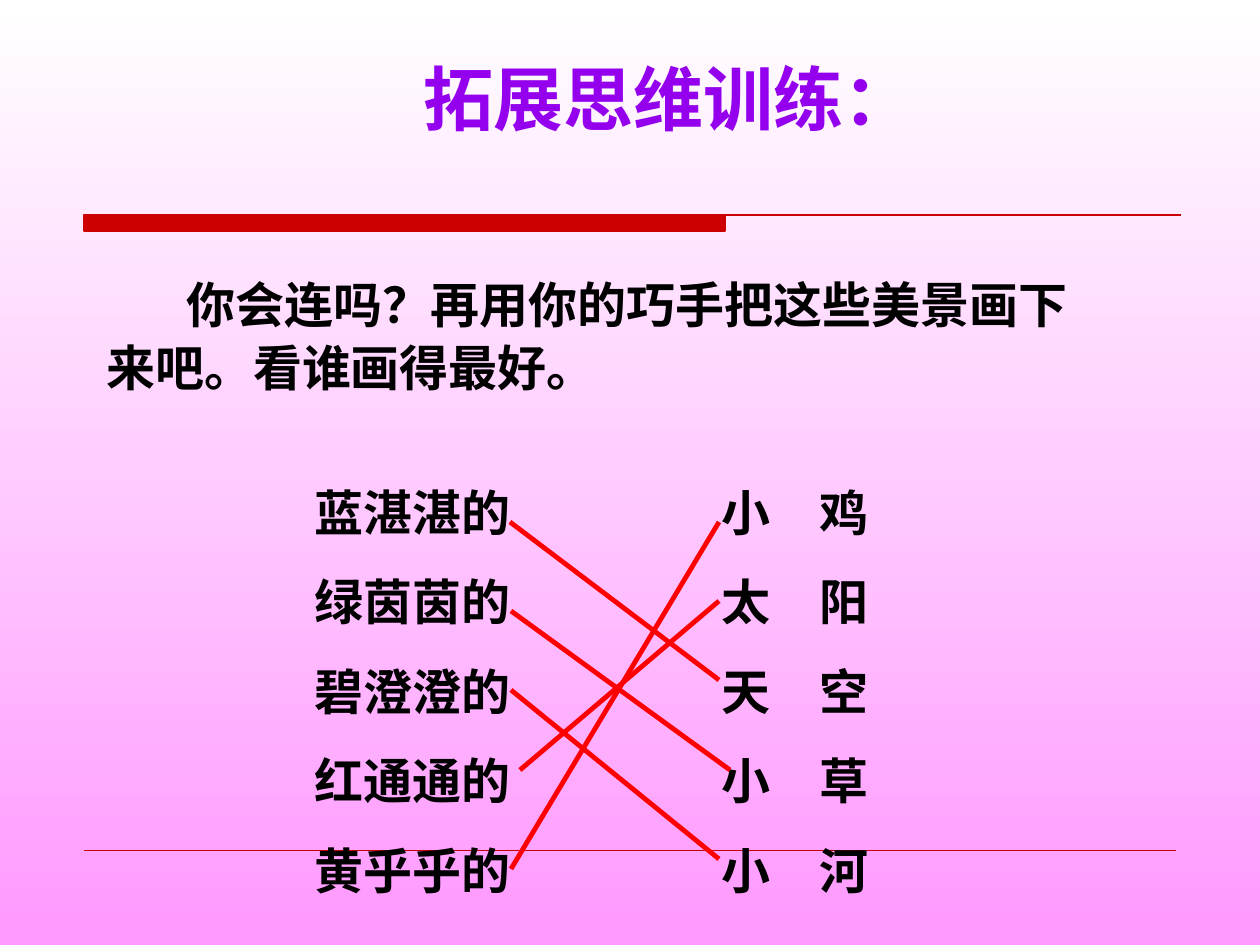
from typing import NamedTuple

from lxml.etree import SubElement
from pptx import Presentation
from pptx.dml.color import RGBColor
from pptx.enum.shapes import MSO_CONNECTOR
from pptx.enum.text import MSO_ANCHOR, PP_ALIGN
from pptx.oxml.ns import qn
from pptx.util import Emu, Pt

SCALE = 914400 / 126
CJK = "Noto Sans CJK JP"
RED, DARK = "FF0000", "CC0000"


class Box(NamedTuple):
    x: int
    y: int
    w: int
    h: int


class Block(NamedTuple):
    box: Box
    lines: list[str]
    top: int
    pitch: float
    indent: int = 0


class Link(NamedTuple):
    x1: int
    y1: int
    x2: int
    y2: int
    color: str = RED
    width: float = 2.75


BLOCKS = [
    Block(Box(94, 244, 1032, 156),
          ["你会连吗？再用你的巧手把这些美景画下来吧。看谁画得最好。"], 27, 35.7, 80),
    Block(Box(302, 472, 228, 430),
          ["蓝湛湛的", "绿茵茵的", "碧澄澄的", "红通通的", "黄乎乎的"], 10, 33.7),
    Block(Box(709, 472, 228, 430),
          ["小　鸡", "太　阳", "天　空", "小　草", "小　河"], 10, 33.7),
]
FOOT = Link(84, 850, 1176, 850, DARK, 0.25)
LINKS = [
    Link(510, 522, 719, 680),
    Link(511, 611, 730, 770),
    Link(511, 690, 719, 859),
    Link(520, 770, 719, 601),
    Link(511, 869, 719, 522),
]


def px(n: int) -> Emu:
    return Emu(round(n * SCALE))


def rgb(code: str) -> RGBColor:
    return RGBColor.from_string(code)


def style(run, size: int, color: str, face: str) -> None:
    font = run.font
    font.size, font.bold, font.name = Pt(size), True, face
    font.color.rgb = rgb(color)
    SubElement(font._element, qn("a:ea")).set("typeface", CJK)


def paint(slide) -> None:
    """Fill the background from white at the top to pink at the foot."""
    fill = slide.background.fill
    fill.gradient()
    fill.gradient_angle = 270
    for stop, (place, color) in zip(fill.gradient_stops,
                                    [(0, "FFFFFF"), (1, "FF99FF")]):
        stop.position = place
        stop.color.rgb = rgb(color)


def add_rule(slide) -> None:
    """Draw the thick bar and the thin line that runs on from it."""
    pen = slide.shapes.build_freeform(84, 215, scale=SCALE)
    pen.add_line_segments([(725, 215), (725, 231), (84, 231)], close=True)
    pen.move_to(84, 215)
    pen.add_line_segments([(1181, 215)], close=False)
    rule = pen.convert_to_shape()
    rule.shadow.inherit = False
    rule.fill.solid()
    rule.fill.fore_color.rgb = rgb(DARK)
    rule.line.color.rgb = rgb(DARK)
    rule.line.width = Pt(0.75)


def add_title(slide, text: str, box: Box) -> None:
    title = slide.shapes.title
    title.left, title.top, title.width, title.height = map(px, box)
    frame = title.text_frame
    frame.text = text
    frame.word_wrap = False
    frame.vertical_anchor = MSO_ANCHOR.TOP
    frame.margin_top = 0
    para = frame.paragraphs[0]
    para.alignment = PP_ALIGN.CENTER
    style(para.runs[0], 40, "9400ED", CJK)


def add_block(slide, block: Block) -> None:
    frame = slide.shapes.add_textbox(*map(px, block.box)).text_frame
    frame.word_wrap = True
    frame.margin_top = px(block.top)
    frame.text = "\n".join(block.lines)
    for i, para in enumerate(frame.paragraphs):
        para.line_spacing = Pt(block.pitch)
        if i:
            para.space_before = Pt(17.5)
        if block.indent:
            para._p.get_or_add_pPr().set("indent", str(px(block.indent)))
        style(para.runs[0], 28, "000000", "Arial")


def add_link(slide, link: Link) -> None:
    line = slide.shapes.add_connector(MSO_CONNECTOR.STRAIGHT, *map(px, link[:4]))
    line.line.color.rgb = rgb(link.color)
    line.line.width = Pt(link.width)
    SubElement(line._element.spPr, qn("a:effectLst"))


def main() -> None:
    deck = Presentation()
    deck.slide_width, deck.slide_height = px(1260), px(945)
    slide = deck.slides.add_slide(deck.slide_layouts[5])
    paint(slide)
    add_rule(slide)
    add_link(slide, FOOT)
    add_title(slide, "拓展思维训练：", Box(292, 55, 753, 110))
    for block in BLOCKS:
        add_block(slide, block)
    for link in LINKS:
        add_link(slide, link)
    deck.save("out.pptx")


if __name__ == "__main__":
    main()
